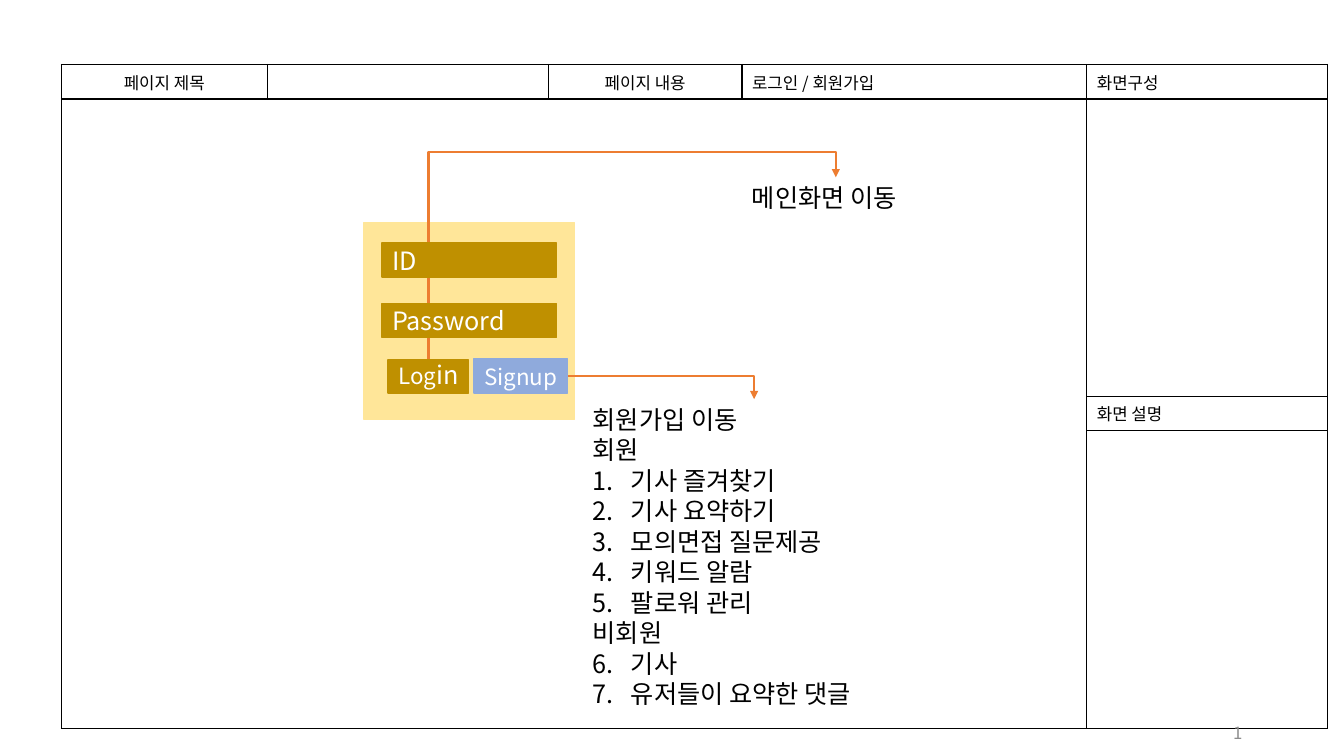
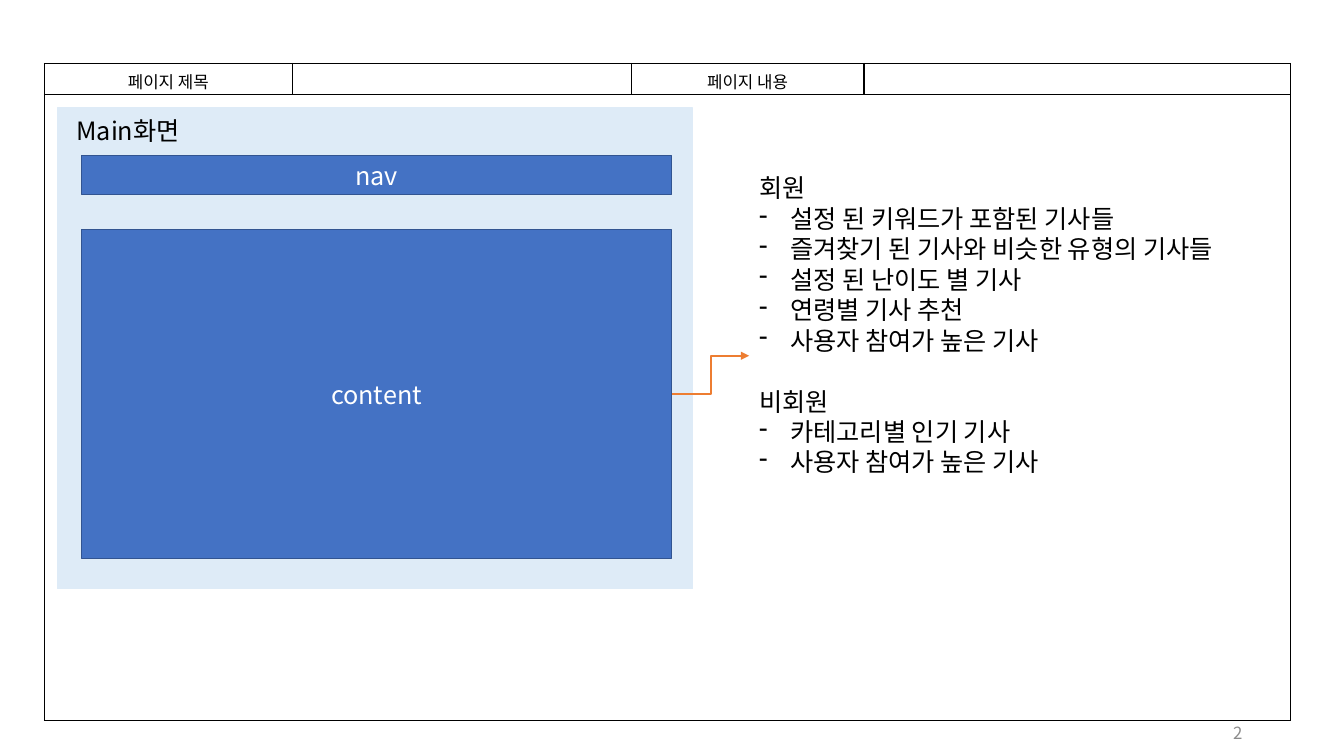
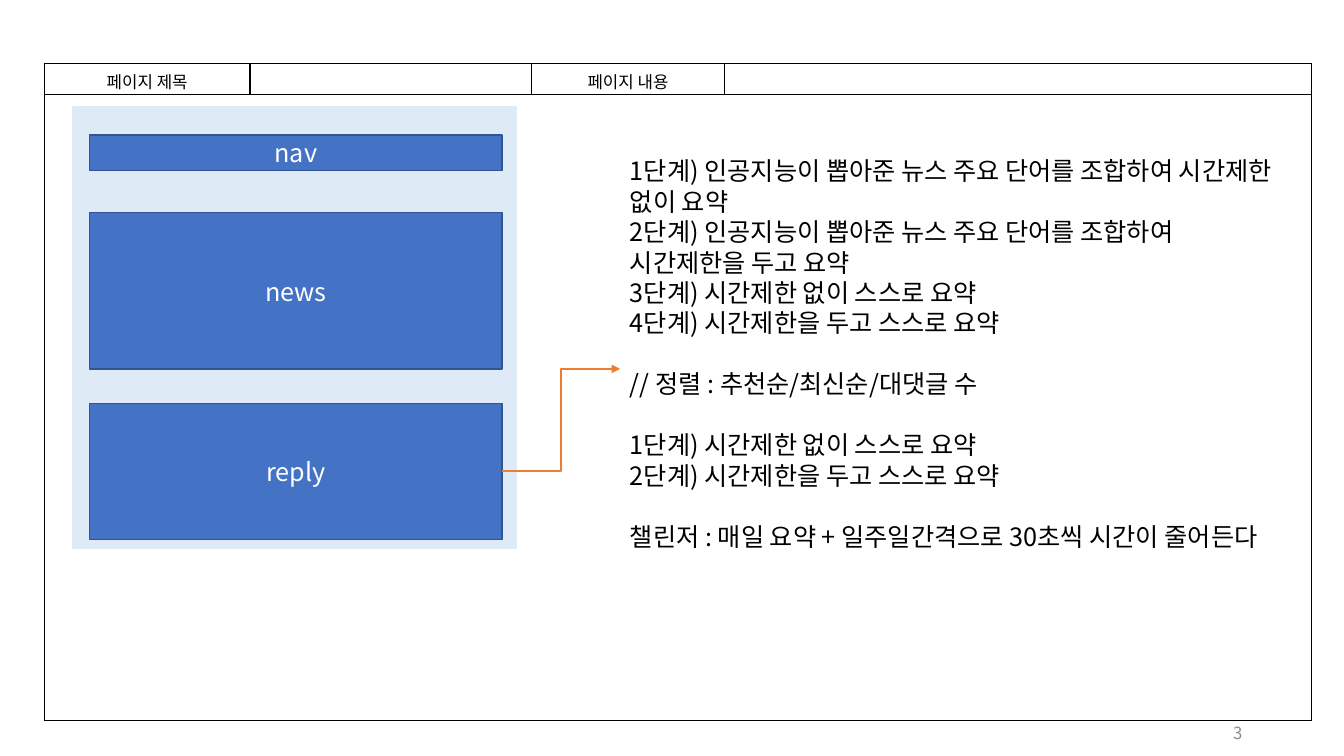
from lxml.etree import SubElement
from pptx import Presentation
from pptx.dml.color import RGBColor
from pptx.enum.shapes import MSO_CONNECTOR as LINK, MSO_SHAPE as SHAPE
from pptx.enum.text import MSO_ANCHOR as ANCHOR, PP_ALIGN as ALIGN
from pptx.oxml.ns import qn
from pptx.util import Inches, Pt

FONT = "Noto Sans CJK KR"
BLACK, WHITE, GREY, ORANGE = "000000", "FFFFFF", "8C8C8C", "ED7D31"
GOLD, PALE_GOLD, SKY = "BF9000", "FFE699", "8FAADC"
BLUE, DARK_BLUE, PALE_BLUE = "4472C4", "325491", "DEEBF7"
LINE_RATIO = 1.21
HEADER_HEIGHT = 0.31
NUMBER_BOX = (9.42, 7.07, 3, 0.4)


def color(value):
    return RGBColor.from_string(value)


def lengths(values):
    return [Inches(value) for value in values]


def apply(target, settings):
    for name, value in settings.items():
        setattr(target, name, value)


def add_span(para, text, size, ink):
    span = para.add_run()
    span.text = text
    apply(span.font, {"name": FONT, "size": Pt(size)})
    span.font.color.rgb = color(ink)
    SubElement(span.font._element, qn("a:ea"), typeface=FONT)


def add_bullet(para, indent, tag, **values):
    props = para._p.get_or_add_pPr()
    props.set("marL", str(Inches(indent)))
    props.set("indent", str(-Inches(indent)))
    SubElement(props, qn(tag), **values)


# Text boxes and blocks
def write(frame, text, size=18, ink=BLACK, align=ALIGN.LEFT, **settings):
    """Write one paragraph; text is a string or a list of (text, size)."""
    apply(frame, {"word_wrap": True, **settings})
    para = frame.paragraphs[0]
    spans = [(text, size)] if isinstance(text, str) else text
    apply(para, {"alignment": align, "line_spacing": Pt(size * LINE_RATIO)})
    for words, span_size in spans:
        add_span(para, words, span_size, ink)


def add_label(page, box, text, **settings):
    label = page.shapes.add_textbox(*lengths(box))
    write(label.text_frame, text, **settings)


def add_notes(page, box, groups, indent, gap=0):
    """Write groups of (heading, items, bullet tag, bullet values)."""
    frame = page.shapes.add_textbox(*lengths(box)).text_frame
    frame.word_wrap = True
    pitch = 18 * LINE_RATIO
    para = frame.paragraphs[0]
    for number, (lines, items, tag, values) in enumerate(groups):
        for row, text in enumerate(lines + items):
            if number or row:
                para = frame.add_paragraph()
            para.line_spacing = Pt(pitch)
            if number and row == 0:
                para.space_before = Pt(gap * pitch)
            if row >= len(lines):
                add_bullet(para, indent, tag, **values)
            add_span(para, text, 18, BLACK)


def add_block(page, box, fill, line=None, text=None, **settings):
    block = page.shapes.add_shape(SHAPE.RECTANGLE, *lengths(box))
    block.shadow.inherit = False
    block.fill.solid()
    block.fill.fore_color.rgb = color(fill)
    block.line.color.rgb = color(line or fill)
    block.line.width = Pt(1)
    if text:
        write(block.text_frame, text, ink=WHITE,
              vertical_anchor=ANCHOR.MIDDLE, **settings)


# Elbow arrows
def add_arrow(page, start, end, kind="bentConnector3", bend=0.5, upright=False):
    """Draw an elbow arrow; an upright one leaves its start vertically."""
    points = [start, end]
    if upright:
        middle_x, middle_y = [(a + b) / 2 for a, b in zip(start, end)]
        points = [(middle_x + y - middle_y, middle_y - x + middle_x)
                  for x, y in points]
    arrow = page.shapes.add_connector(LINK.ELBOW, *lengths(points[0] + points[1]))
    arrow.line.color.rgb = color(ORANGE)
    arrow.line.width = Pt(1.5)
    props = arrow._element.spPr
    if upright:
        props.find(qn("a:xfrm")).set("rot", str(90 * 60000))
    outline = props.find(qn("a:prstGeom"))
    outline.set("prst", kind)
    if bend != 0.5:
        SubElement(outline.find(qn("a:avLst")), qn("a:gd"),
                   name="adj1", fmla=f"val {round(bend * 100000)}")
    SubElement(props.find(qn("a:ln")), qn("a:tailEnd"), type="triangle")
    SubElement(props, qn("a:effectLst"))


# Page frame: bordered table and page number
def format_cell(cell):
    cell.fill.background()
    props = cell._tc.get_or_add_tcPr()
    for position, side in enumerate(("lnL", "lnR", "lnT", "lnB")):
        border = SubElement(props, qn("a:" + side), w=str(Pt(1)))
        ink = SubElement(border, qn("a:solidFill"))
        SubElement(ink, qn("a:srgbClr"), val=BLACK)
        props.insert(position, border)


def add_frame(page, number, left, top, widths, heights, labels, merged):
    box = (left, top, sum(widths), sum(heights))
    table = page.shapes.add_table(len(heights), len(widths), *lengths(box)).table
    apply(table, {"first_row": False, "horz_banding": False})
    for column, width in zip(table.columns, widths):
        column.width = Inches(width)
    for row, height in zip(table.rows, heights):
        row.height = Inches(height)
    for row in range(len(heights)):
        for column in range(len(widths)):
            cell = table.cell(row, column)
            format_cell(cell)
            text = labels.get((row, column))
            if text:
                para = cell.text_frame.paragraphs[0]
                para.alignment = ALIGN.CENTER if column in (0, 2) else ALIGN.LEFT
                add_span(para, text, 12, BLACK)
            else:
                apply(cell, {"margin_top": 0, "margin_bottom": 0})
    table.cell(1, 0).merge(table.cell(*merged))
    add_label(page, NUMBER_BOX, str(number), size=12, ink=GREY,
              align=ALIGN.RIGHT, vertical_anchor=ANCHOR.MIDDLE)


HEADINGS = {(0, 0): "페이지 제목", (0, 2): "페이지 내용"}


# Login form
def add_login_form(page, box):
    left, top, width, height = box
    for row, text in enumerate(("ID", "Password")):
        add_block(page, (left + 0.18, top + 0.2 + 0.6 * row, 1.73, 0.34),
                  GOLD, text=text)
    buttons = {"size": 16, "align": ALIGN.CENTER,
               "margin_left": Inches(0.05), "margin_right": Inches(0.05)}
    add_block(page, (left + 1.09, top + 1.35, 0.93, 0.34), SKY,
              text="Signup", **buttons)
    add_block(page, (left + 0.24, top + 1.36, 0.8, 0.33), GOLD,
              text=[("Log", 16), ("in", 18)], **buttons)


# Screen sketch: pale panel with stacked blue sections
def add_screen(page, box, inset, width, sections):
    left, top = box[:2]
    add_block(page, box, PALE_BLUE)
    for text, offset, height in sections:
        add_block(page, (left + inset, top + offset, width, height),
                  BLUE, DARK_BLUE, text, align=ALIGN.CENTER)


def build_login(page):
    add_frame(page, 1, 0.61, 0.64, (2.04, 2.79, 1.92, 3.42, 2.39),
              (HEADER_HEIGHT, 2.95) * 2,
              {**HEADINGS, (0, 3): "로그인 / 회원가입", (0, 4): "화면구성",
               (2, 4): "화면 설명"}, (3, 3))
    form = (3.61, 2.21, 2.09, 1.95)
    add_block(page, form, PALE_GOLD)
    add_arrow(page, (5.63, 3.73), (7.48, 3.96), kind="bentConnector2")
    add_notes(page, (5.78, 3.96, 3.39, 3.13), [
        (["회원가입 이동", "회원"],
         ["기사 즐겨찾기", "기사 요약하기", "모의면접 질문제공", "키워드 알람",
          "팔로워 관리"],
         "a:buAutoNum", {"type": "arabicPeriod"}),
        (["비회원"], ["기사", "유저들이 요약한 댓글"],
         "a:buAutoNum", {"type": "arabicPeriod", "startAt": "6"}),
    ], indent=0.38)
    add_label(page, (7.36, 1.76, 1.85, 0.4), "메인화면 이동")
    add_arrow(page, (4.25, 3.57), (8.29, 1.76), bend=1.14, upright=True)
    add_login_form(page, form)


def build_main(page):
    add_frame(page, 2, 0.44, 0.63, (2.46, 3.36, 2.31, 4.23),
              (HEADER_HEIGHT, 6.21), HEADINGS, (1, 3))
    add_screen(page, (0.57, 1.07, 6.3, 4.77), 0.24, 5.85,
               [("nav", 0.47, 0.39), ("content", 1.21, 3.26)])
    add_label(page, (0.66, 1.09, 2.37, 0.4), "Main화면")
    add_arrow(page, (6.67, 3.91), (7.43, 3.53))
    dash = ("a:buChar", {"char": "-"})
    add_notes(page, (7.43, 1.66, 5.24, 3.74), [
        (["회원"],
         ["설정 된 키워드가 포함된 기사들", "즐겨찾기 된 기사와 비슷한 유형의 기사들",
          "설정 된 난이도 별 기사", "연령별 기사 추천", "사용자 참여가 높은 기사"], *dash),
        (["비회원"], ["카테고리별 인기 기사", "사용자 참여가 높은 기사"], *dash),
    ], indent=0.31, gap=1)


def build_news(page):
    add_frame(page, 3, 0.44, 0.63, (2.04, 2.79, 1.92, 5.82),
              (HEADER_HEIGHT, 6.21), HEADINGS, (1, 3))
    add_screen(page, (0.72, 1.06, 4.4, 4.38), 0.17, 4.09,
               [("nav", 0.28, 0.35), ("news", 1.05, 1.55), ("reply", 2.94, 1.35)])
    groups = [
        ["1단계) 인공지능이 뽑아준 뉴스 주요 단어를 조합하여 시간제한 없이 요약",
         "2단계) 인공지능이 뽑아준 뉴스 주요 단어를 조합하여 시간제한을 두고 요약",
         "3단계) 시간제한 없이 스스로 요약",
         "4단계) 시간제한을 두고 스스로 요약"],
        ["// 정렬 : 추천순/최신순/대댓글 수"],
        ["1단계) 시간제한 없이 스스로 요약",
         "2단계) 시간제한을 두고 스스로 요약"],
        ["챌린저 : 매일 요약 + 일주일간격으로 30초씩 시간이 줄어든다"],
    ]
    add_notes(page, (6.15, 1.49, 6.67, 4.34),
              [(lines, [], None, None) for lines in groups], indent=0, gap=1)
    add_arrow(page, (4.98, 4.67), (6.15, 3.66))


deck = Presentation()
apply(deck, {"slide_width": Inches(13.33), "slide_height": Inches(7.5)})
blank = deck.slide_layouts[6]
for build in (build_login, build_main, build_news):
    build(deck.slides.add_slide(blank))
deck.save("out.pptx")
